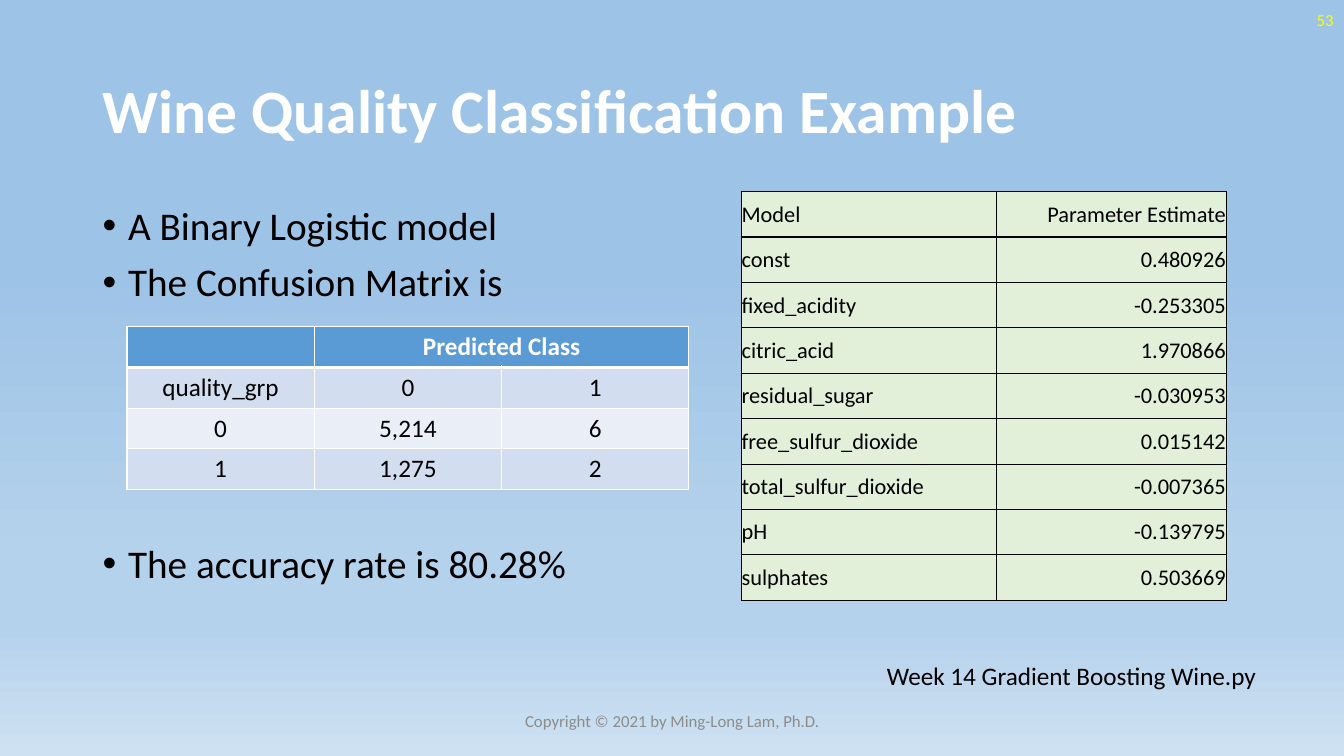
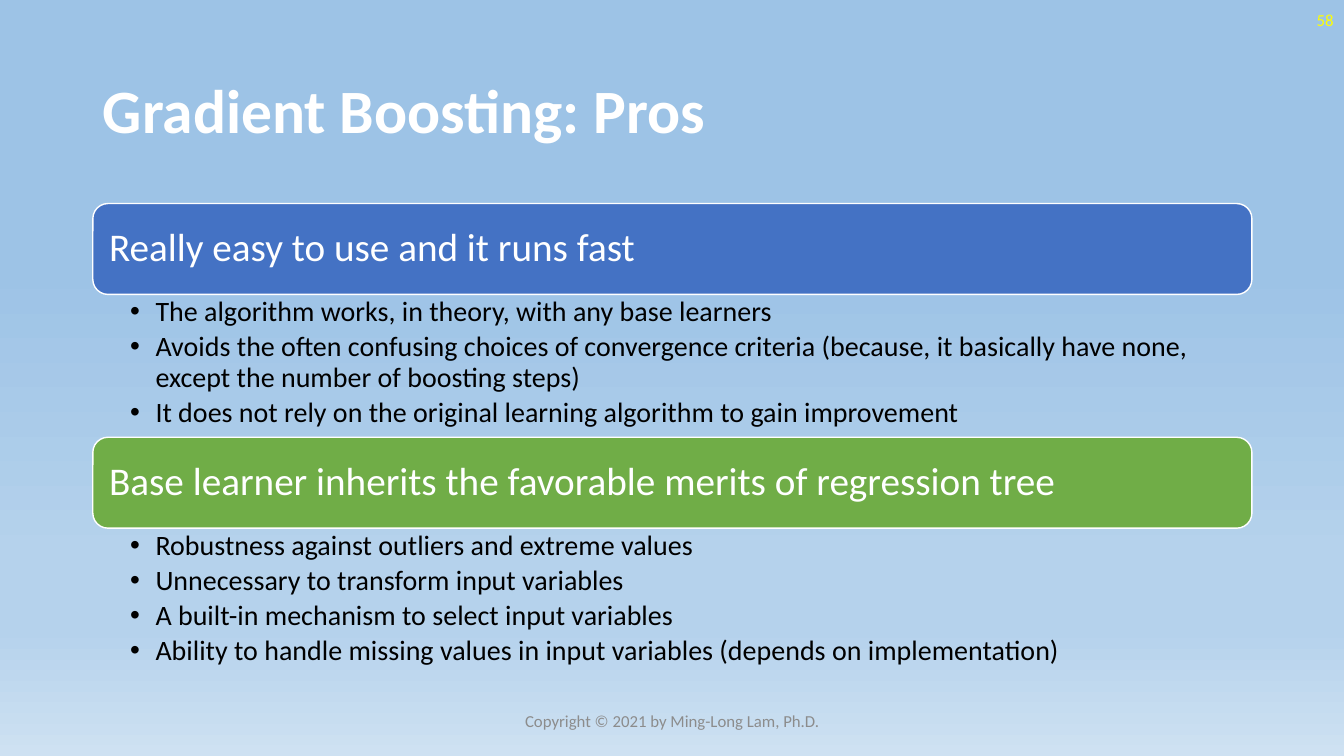
from dataclasses import dataclass

from lxml import etree
from pptx import Presentation
from pptx import presentation as decks
from pptx import slide as slides
from pptx import table as tables
from pptx import util as u
from pptx.dml.color import RGBColor
from pptx.enum import shapes, text
from pptx.oxml import ns
from pptx.text import text as texts

FONT = "Calibri"
WHITE = RGBColor(0xFF, 0xFF, 0xFF)
BLACK = RGBColor(0x00, 0x00, 0x00)
YELLOW = RGBColor(0xFF, 0xFF, 0x00)
GRAY = RGBColor(0x8C, 0x8C, 0x8C)
PALE_GREEN = RGBColor(0xE2, 0xF0, 0xD9)
HEADER_BLUE = RGBColor(0x5B, 0x9B, 0xD5)
BAND_DARK = RGBColor(0xD2, 0xDE, 0xEF)
BAND_LIGHT = RGBColor(0xEA, 0xEF, 0xF7)
BAR_BLUE = RGBColor(0x44, 0x72, 0xC4)
BAR_GREEN = RGBColor(0x70, 0xAD, 0x47)
SKY_STOPS = [
    (35, RGBColor(0x9D, 0xC3, 0xE6)),
    (74, RGBColor(0xB5, 0xD2, 0xEC)),
    (83, RGBColor(0xB5, 0xD2, 0xEC)),
    (100, RGBColor(0xCE, 0xE1, 0xF2)),
]

LEFT = u.Cm(2.34)
WIDTH = u.Cm(29.21)
LINE_BOX = u.Cm(1.02)
BULLET_INDENT = u.Cm(0.64)
BAR_HEIGHT = u.Cm(2.29)
COPYRIGHT = "Copyright © 2021 by Ming-Long Lam, Ph.D."

ESTIMATES = [
    ("Model", "Parameter Estimate"),
    ("const", "0.480926"),
    ("fixed_acidity", "-0.253305"),
    ("citric_acid", "1.970866"),
    ("residual_sugar", "-0.030953"),
    ("free_sulfur_dioxide", "0.015142"),
    ("total_sulfur_dioxide", "-0.007365"),
    ("pH", "-0.139795"),
    ("sulphates", "0.503669"),
]
CONFUSION = [
    ("", "Predicted Class", ""),
    ("quality_grp", "0", "1"),
    ("0", "5,214", "6"),
    ("1", "1,275", "2"),
]


@dataclass(frozen=True)
class Box:
    left: int
    top: int
    width: int
    height: int


@dataclass(frozen=True)
class Section:
    heading: str
    color: RGBColor
    top: int
    list_height: int
    points: tuple[str, ...]


SECTIONS = [
    Section(
        "Really easy to use and it runs fast", BAR_BLUE, u.Cm(5.13), u.Cm(3.61),
        (
            "The algorithm works, in theory, with any base learners",
            "Avoids the often confusing choices of convergence criteria (because, "
            "it basically have none, except the number of boosting steps)",
            "It does not rely on the original learning algorithm to gain improvement",
        ),
    ),
    Section(
        "Base learner inherits the favorable merits of regression tree",
        BAR_GREEN, u.Cm(11.02), u.Cm(3.78),
        (
            "Robustness against outliers and extreme values",
            "Unnecessary to transform input variables",
            "A built-in mechanism to select input variables",
            "Ability to handle missing values in input variables "
            "(depends on implementation)",
        ),
    ),
]


def add_solid_color(parent: etree._Element, color: RGBColor) -> None:
    fill = etree.SubElement(parent, ns.qn("a:solidFill"))
    etree.SubElement(fill, ns.qn("a:srgbClr"), val=str(color))


def paint_background(master: slides.SlideMaster) -> None:
    fill = master.background.fill
    fill.gradient()
    fill.gradient_angle = 270
    stops = master.element.find(".//" + ns.qn("a:gsLst"))
    for stop in list(stops):
        stops.remove(stop)
    for percent, color in SKY_STOPS:
        stop = etree.SubElement(stops, ns.qn("a:gs"), pos=str(percent * 1000))
        etree.SubElement(stop, ns.qn("a:srgbClr"), val=str(color))


def style_paragraph(
    paragraph: texts._Paragraph,
    size: int,
    color: RGBColor,
    align: text.PP_ALIGN = text.PP_ALIGN.LEFT,
    bold: bool = False,
) -> None:
    paragraph.alignment = align
    font = paragraph.font
    font.name, font.size, font.bold = FONT, u.Pt(size), bold
    font.color.rgb = color


def add_text(
    slide: slides.Slide,
    box: Box,
    content: str,
    size: int,
    color: RGBColor,
    align: text.PP_ALIGN = text.PP_ALIGN.LEFT,
    wrap: bool = True,
) -> None:
    frame = slide.shapes.add_textbox(box.left, box.top, box.width, box.height).text_frame
    frame.word_wrap = wrap
    frame.vertical_anchor = text.MSO_ANCHOR.MIDDLE
    frame.text = content
    style_paragraph(frame.paragraphs[0], size, color, align)


def add_bullets(
    slide: slides.Slide, box: Box, items: tuple[str, ...], size: int
) -> texts.TextFrame:
    frame = slide.shapes.add_textbox(box.left, box.top, box.width, box.height).text_frame
    frame.word_wrap = True
    frame.text = "\n".join(items)
    for paragraph in frame.paragraphs:
        properties = paragraph._p.get_or_add_pPr()
        properties.set("marL", str(BULLET_INDENT))
        properties.set("indent", str(-BULLET_INDENT))
        etree.SubElement(properties, ns.qn("a:buFont"), typeface="Arial")
        etree.SubElement(properties, ns.qn("a:buChar"), char="•")
        paragraph.line_spacing = 0.9
        style_paragraph(paragraph, size, BLACK)
    return frame


def add_titled_slide(
    presentation: decks.Presentation, title: str, number: int
) -> slides.Slide:
    slide = presentation.slides.add_slide(presentation.slide_layouts[5])
    shape = slide.shapes.title
    shape.left, shape.top = LEFT, u.Cm(1.02)
    shape.width, shape.height = WIDTH, u.Cm(3.68)
    frame = shape.text_frame
    frame.text = title
    frame.vertical_anchor = text.MSO_ANCHOR.MIDDLE
    paragraph = frame.paragraphs[0]
    paragraph.line_spacing = 0.9
    style_paragraph(paragraph, 44, WHITE, bold=True)
    number_box = Box(u.Cm(26.24), 0, u.Cm(7.62), LINE_BOX)
    add_text(slide, number_box, str(number), 12, YELLOW, text.PP_ALIGN.RIGHT)
    footer_box = Box(u.Cm(11.23), u.Cm(17.65), u.Cm(11.43), LINE_BOX)
    add_text(slide, footer_box, COPYRIGHT, 12, GRAY, text.PP_ALIGN.CENTER)
    return slide


def format_cell(
    cell: tables._Cell, fill: RGBColor, border: RGBColor, widths: dict[str, float]
) -> None:
    properties = cell._tc.get_or_add_tcPr()
    for side in ("lnL", "lnR", "lnT", "lnB"):
        line = etree.SubElement(
            properties, ns.qn(f"a:{side}"), w=str(u.Pt(widths[side]))
        )
        add_solid_color(line, border)
    cell.fill.solid()
    cell.fill.fore_color.rgb = fill


def border_widths(row: int, thin: float, thick: float) -> dict[str, float]:
    return {
        "lnL": thin,
        "lnR": thin,
        "lnT": thick if row == 1 else thin,
        "lnB": thick if row == 0 else thin,
    }


def add_grid(
    slide: slides.Slide, box: Box, rows: list[tuple[str, ...]]
) -> tables.Table:
    table = slide.shapes.add_table(
        len(rows), len(rows[0]), box.left, box.top, box.width, box.height
    ).table
    table.first_row = table.horz_banding = False
    for row, values in enumerate(rows):
        for column, value in enumerate(values):
            table.cell(row, column).text = value
    return table


def add_estimates(slide: slides.Slide) -> None:
    box = Box(u.Cm(18.67), u.Cm(4.83), u.Cm(12.24), u.Cm(10.29))
    table = add_grid(slide, box, ESTIMATES)
    aligns = (text.PP_ALIGN.LEFT, text.PP_ALIGN.RIGHT)
    for column, width in enumerate((6.45, 5.79)):
        table.columns[column].width = u.Cm(width)
        for row in range(len(ESTIMATES)):
            cell = table.cell(row, column)
            cell.margin_left = cell.margin_right = cell.margin_top = u.Cm(0.02)
            cell.margin_bottom = 0
            cell.vertical_anchor = text.MSO_ANCHOR.MIDDLE
            format_cell(cell, PALE_GREEN, BLACK, border_widths(row, 0.5, 2))
            style_paragraph(
                cell.text_frame.paragraphs[0], 16, BLACK, aligns[column]
            )


def add_confusion_matrix(slide: slides.Slide) -> None:
    box = Box(u.Cm(3.2), u.Cm(8.23), u.Cm(14.16), u.Cm(4.11))
    table = add_grid(slide, box, CONFUSION)
    fills = (HEADER_BLUE, BAND_DARK, BAND_LIGHT, BAND_DARK)
    for row, fill in enumerate(fills):
        header = row == 0
        for column in range(len(CONFUSION[row])):
            cell = table.cell(row, column)
            format_cell(cell, fill, WHITE, border_widths(row, 1, 3))
            style_paragraph(
                cell.text_frame.paragraphs[0], 18, WHITE if header else BLACK,
                text.PP_ALIGN.CENTER, header,
            )
    table.cell(0, 1).merge(table.cell(0, 2))


def add_section(slide: slides.Slide, section: Section) -> None:
    bar = slide.shapes.add_shape(
        shapes.MSO_SHAPE.ROUNDED_RECTANGLE, LEFT, section.top, WIDTH, BAR_HEIGHT
    )
    bar.shadow.inherit = False
    bar.fill.solid()
    bar.fill.fore_color.rgb = section.color
    bar.line.color.rgb = WHITE
    bar.line.width = u.Pt(1)
    frame = bar.text_frame
    frame.word_wrap = True
    frame.margin_left = frame.margin_right = u.Cm(0.3)
    frame.vertical_anchor = text.MSO_ANCHOR.MIDDLE
    frame.text = section.heading
    frame.paragraphs[0].line_spacing = 0.9
    style_paragraph(frame.paragraphs[0], 28, WHITE)

    list_box = Box(LEFT, section.top + BAR_HEIGHT, WIDTH, section.list_height)
    points = add_bullets(slide, list_box, section.points, 20)
    points.margin_left, points.margin_right = u.Cm(0.94), u.Cm(0.41)
    points.margin_top = points.margin_bottom = u.Cm(0.08)
    for paragraph in points.paragraphs:
        paragraph.space_after = u.Pt(3.5)


def build_wine_slide(presentation: decks.Presentation) -> None:
    slide = add_titled_slide(presentation, "Wine Quality Classification Example", 53)
    findings = (
        "A Binary Logistic model",
        "The Confusion Matrix is",
        "The accuracy rate is 80.28%",
    )
    body = add_bullets(slide, Box(LEFT, u.Cm(5.08), WIDTH, u.Cm(12.09)), findings, 28)
    for paragraph, gap in zip(body.paragraphs[1:], (10, 171)):
        paragraph.space_before = u.Pt(gap)
    script_box = Box(u.Cm(22.1), u.Cm(16.51), u.Cm(9.93), LINE_BOX)
    add_text(
        slide, script_box, "Week 14 Gradient Boosting Wine.py", 18, BLACK, wrap=False
    )
    add_estimates(slide)
    add_confusion_matrix(slide)


def build_pros_slide(presentation: decks.Presentation) -> None:
    slide = add_titled_slide(presentation, "Gradient Boosting: Pros", 58)
    for section in SECTIONS:
        add_section(slide, section)


def main() -> None:
    presentation = Presentation()
    presentation.slide_width, presentation.slide_height = u.Cm(33.87), u.Cm(19.05)
    paint_background(presentation.slide_master)
    build_wine_slide(presentation)
    build_pros_slide(presentation)
    presentation.save("out.pptx")


if __name__ == "__main__":
    main()
